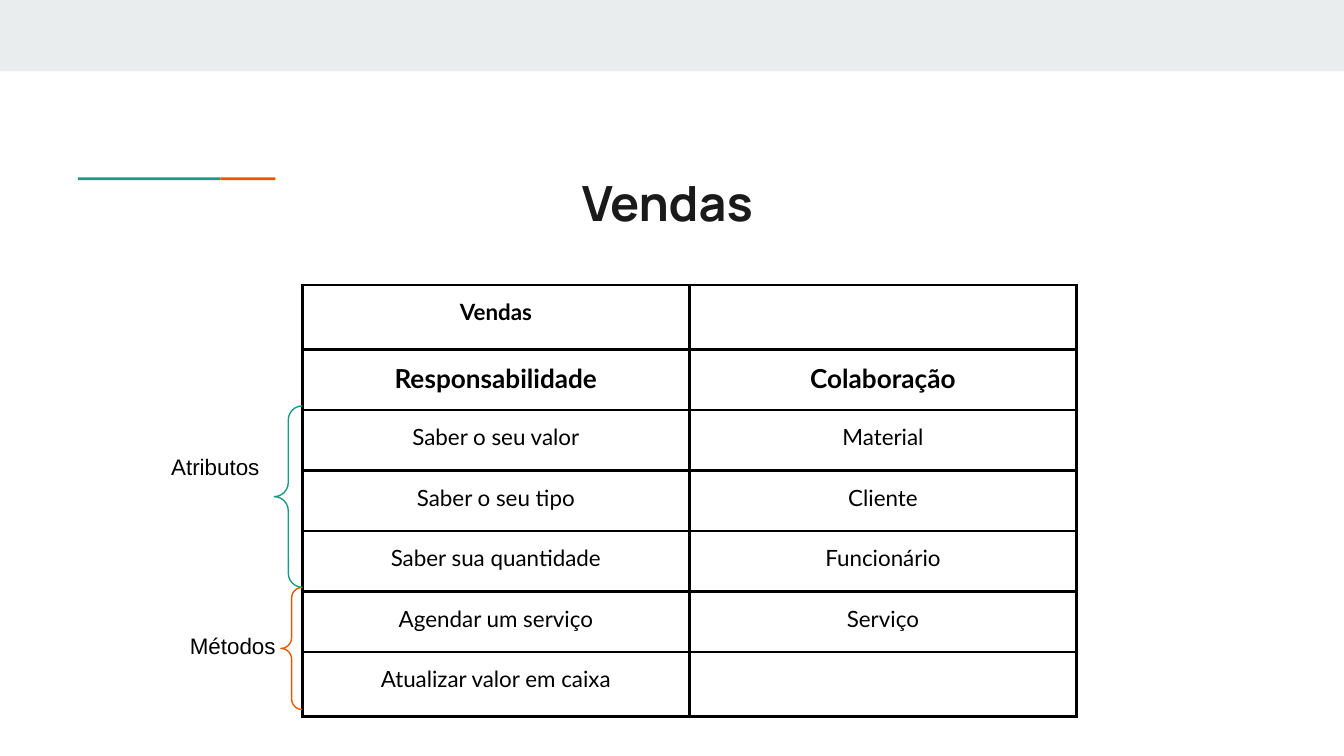
from lxml.etree import SubElement
from pptx import Presentation
from pptx.dml.color import RGBColor
from pptx.enum.shapes import MSO_SHAPE
from pptx.enum.text import MSO_ANCHOR, PP_ALIGN
from pptx.oxml.ns import qn
from pptx.util import Inches, Pt

COLORS = {
    "band": "E9EDEE",
    "green": "1A9988",
    "orange": "EB5600",
    "title": "1A1A1A",
    "black": "000000",
}

ROWS = [
    ("Vendas", ""),
    ("Responsabilidade", "Colaboração"),
    ("Saber o seu valor", "Material"),
    ("Saber o seu tipo", "Cliente"),
    ("Saber sua quantidade", "Funcionário"),
    ("Agendar um serviço", "Serviço"),
    ("Atualizar valor em caixa", ""),
]


def rgb(name):
    return RGBColor.from_string(COLORS[name])


def write(frame, text, font="Lato", size=12, color="black", bold=False,
          align=PP_ALIGN.CENTER):
    frame.word_wrap = True
    frame.vertical_anchor = MSO_ANCHOR.TOP
    frame.margin_left = frame.margin_right = Inches(0.1)
    frame.margin_top = frame.margin_bottom = Inches(0.1)
    par = frame.paragraphs[0]
    par.alignment = align
    run = par.add_run()
    run.text = text
    run.font.name = font
    run.font.size = Pt(size)
    run.font.bold = bold
    run.font.color.rgb = rgb(color)


def add_bar(slide, box, color):
    bar = slide.shapes.add_shape(MSO_SHAPE.RECTANGLE, *map(Inches, box))
    bar.shadow.inherit = False
    bar.fill.solid()
    bar.fill.fore_color.rgb = rgb(color)
    bar.line.fill.background()


def add_brace(slide, box, color):
    brace = slide.shapes.add_shape(MSO_SHAPE.LEFT_BRACE, *map(Inches, box))
    brace.shadow.inherit = False
    brace.adjustments[0] = brace.adjustments[1] = 0.5
    brace.fill.background()
    brace.line.color.rgb = rgb(color)
    brace.line.width = Pt(0.75)


def add_label(slide, box, text):
    label = slide.shapes.add_textbox(*map(Inches, box))
    write(label.text_frame, text, font="Arial", align=PP_ALIGN.RIGHT)


def add_title(slide, box, text):
    title = slide.shapes.title
    title.left, title.top, title.width, title.height = map(Inches, box)
    write(title.text_frame, text, font="Manrope", size=26, color="title",
          bold=True, align=PP_ALIGN.LEFT)


def add_edges(cell):
    props = cell._tc.get_or_add_tcPr()
    for pos, side in enumerate(("lnL", "lnR", "lnT", "lnB")):
        edge = props.makeelement(qn(f"a:{side}"), {"w": str(Pt(1.5))})
        fill = SubElement(edge, qn("a:solidFill"))
        SubElement(fill, qn("a:srgbClr"), val=COLORS["black"])
        props.insert(pos, edge)


def add_grid(slide, left, top):
    heights = [0.48] + [0.45] * (len(ROWS) - 2) + [0.48]
    frame = slide.shapes.add_table(
        len(ROWS), 2, Inches(left), Inches(top), Inches(5.76),
        Inches(sum(heights)))
    table = frame.table
    table.first_row = table.horz_banding = False
    for col in table.columns:
        col.width = Inches(2.88)
    for i, texts in enumerate(ROWS):
        table.rows[i].height = Inches(heights[i])
        for j, text in enumerate(texts):
            cell = table.cell(i, j)
            write(cell.text_frame, text, size=14 if i == 1 else 12,
                  bold=i < 2)
            cell.margin_left = cell.margin_right = Inches(0.1)
            cell.margin_top = cell.margin_bottom = Inches(0.1)
            cell.vertical_anchor = MSO_ANCHOR.TOP
            cell.fill.background()
            add_edges(cell)


def main():
    deck = Presentation()
    deck.slide_width, deck.slide_height = Inches(10), Inches(10 * 9 / 16)
    slide = deck.slides.add_slide(deck.slide_layouts[5])
    add_bar(slide, (0, 0, 10, 0.53), "band")
    add_bar(slide, (0.58, 1.32, 1.06, 0.02), "green")
    add_bar(slide, (1.64, 1.32, 0.41, 0.02), "orange")
    add_title(slide, (4.23, 1.19, 1.54, 0.72), "Vendas")
    add_grid(slide, 2.25, 2.12)
    add_brace(slide, (2.04, 3.02, 0.21, 1.35), "green")
    add_brace(slide, (2.09, 4.37, 0.16, 0.91), "orange")
    add_label(slide, (0.97, 4.6, 1.18, 0.31), "Métodos")
    add_label(slide, (1.07, 3.27, 0.96, 0.31), "Atributos")
    deck.save("out.pptx")


if __name__ == "__main__":
    main()
